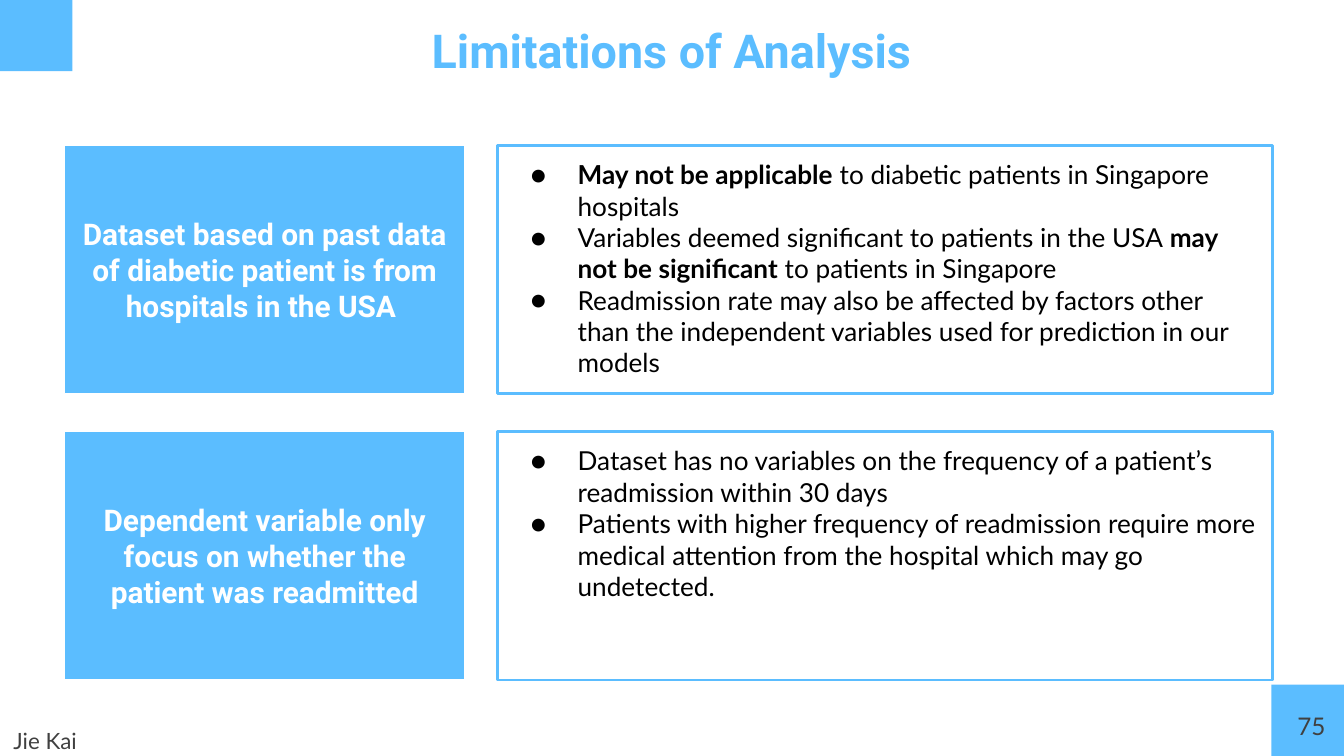
import pptx
import pptx.dml.color
import pptx.enum.shapes
import pptx.enum.text
import pptx.util
from lxml import etree
from pptx.oxml.ns import qn
from pptx.util import Inches

BLUE, WHITE, BLACK, GREY = "5BBDFF", "FFFFFF", "000000", "404040"
ALIGN = pptx.enum.text.PP_ALIGN
ANCHOR = pptx.enum.text.MSO_ANCHOR

TITLE = "Limitations of Analysis"
PRESENTER = "Jie Kai"
PAGE = "75"

# Each limitation: heading, then points made of (text, bold) pieces
LIMITATIONS = [
    ("Dataset based on past data of diabetic patient is from hospitals in the USA ", [
        [("May not be applicable", True),
         (" to diabetic patients in Singapore hospitals", False)],
        [("Variables deemed significant to patients in the USA ", False),
         ("may not be significant", True),
         (" to patients in Singapore", False)],
        [("Readmission rate may also be affected by factors other than the "
          "independent variables used for prediction in our models", False)],
    ]),
    ("Dependent variable only focus on whether the patient was readmitted", [
        [("Dataset has no variables on the frequency of a patient’s "
          "readmission within 30 days", False)],
        [("Patients with higher frequency of readmission require more medical "
          "attention from the hospital which may go undetected.", False)],
    ]),
]

SLIDE_W = 10
SLIDE_H = SLIDE_W * 9 / 16
CORNER_W, CORNER_H = 0.54, 0.53
ROW_TOP, ROW_STEP, ROW_H = 1.08, 2.13, 1.85
HEADING_X, HEADING_W = 0.48, 2.98
POINTS_X, POINTS_W = 3.7, 5.77


def rgb(value):
    return pptx.dml.color.RGBColor.from_string(value)


def place(shape, x, y, w, h):
    shape.left, shape.top, shape.width, shape.height = map(Inches, (x, y, w, h))


def add_bullet(paragraph, size, color, font):
    properties = paragraph._p.get_or_add_pPr()
    properties.set("marL", str(Inches(0.5)))
    properties.set("indent", str(Inches(-0.35)))
    bullet_color = etree.SubElement(properties, qn("a:buClr"))
    etree.SubElement(bullet_color, qn("a:srgbClr"), val=color)
    etree.SubElement(properties, qn("a:buSzPts"), val=str(size * 100))
    etree.SubElement(properties, qn("a:buFont"), typeface=font)
    etree.SubElement(properties, qn("a:buChar"), char="●")


def write(shape, paragraphs, size, color, font="Lato", align=ALIGN.LEFT,
          anchor=ANCHOR.TOP, spacing=1.0, bullets=False):
    """Fill a shape with paragraphs, each a list of (text, bold) pieces."""
    frame = shape.text_frame
    frame.word_wrap = True
    frame.auto_size = pptx.enum.text.MSO_AUTO_SIZE.NONE
    frame.vertical_anchor = anchor
    frame.margin_left = frame.margin_right = Inches(0.1)
    frame.margin_top = frame.margin_bottom = Inches(0.1)
    for index, pieces in enumerate(paragraphs):
        paragraph = frame.add_paragraph() if index else frame.paragraphs[0]
        paragraph.alignment = align
        paragraph.line_spacing = spacing
        paragraph.space_before = pptx.util.Pt(0)
        if bullets:
            add_bullet(paragraph, size, color, font)
        for text, bold in pieces:
            run = paragraph.add_run()
            run.text = text
            run.font.name = font
            run.font.size = pptx.util.Pt(size)
            run.font.bold = bold
            run.font.color.rgb = rgb(color)


def add_box(x, y, w, h, fill=None, line=None, line_width=0.75):
    box = slide.shapes.add_shape(pptx.enum.shapes.MSO_SHAPE.RECTANGLE,
                                 *map(Inches, (x, y, w, h)))
    box.shadow.inherit = False
    if fill:
        box.fill.solid()
        box.fill.fore_color.rgb = rgb(fill)
    else:
        box.fill.background()
    if line:
        box.line.color.rgb = rgb(line)
        box.line.width = pptx.util.Pt(line_width)
    else:
        box.line.fill.background()
    return box


deck = pptx.Presentation()
deck.slide_width, deck.slide_height = Inches(SLIDE_W), Inches(SLIDE_H)
slide = deck.slides.add_slide(deck.slide_layouts[0])

title = slide.shapes.title
place(title, 0.48, 0.06, 9.03, 0.63)
write(title, [[(TITLE, True)]], 25, BLUE, font="Roboto", align=ALIGN.CENTER)

presenter = slide.placeholders[1]
place(presenter, 0, 5.37, 2.79, 0.25)
write(presenter, [[(PRESENTER, False)]], 12, GREY, anchor=ANCHOR.MIDDLE,
      spacing=1.15)

add_box(0, 0, CORNER_W, CORNER_H, fill=BLUE)
add_box(SLIDE_W - CORNER_W, SLIDE_H - CORNER_H, CORNER_W, CORNER_H, fill=BLUE)

page = slide.shapes.add_textbox(*map(Inches, (9.36, 5.19, 0.6, 0.43)))
write(page, [[(PAGE, False)]], 13, GREY, align=ALIGN.RIGHT)

for row, (heading, points) in enumerate(LIMITATIONS):
    top = ROW_TOP + row * ROW_STEP
    heading_box = add_box(HEADING_X, top, HEADING_W, ROW_H, fill=BLUE, line=WHITE)
    write(heading_box, [[(heading, True)]], 16, WHITE, font="Roboto",
          align=ALIGN.CENTER, anchor=ANCHOR.MIDDLE)
    points_box = add_box(POINTS_X, top, POINTS_W, ROW_H, line=BLUE, line_width=1.5)
    write(points_box, points, 14, BLACK, bullets=True)

deck.save("out.pptx")
